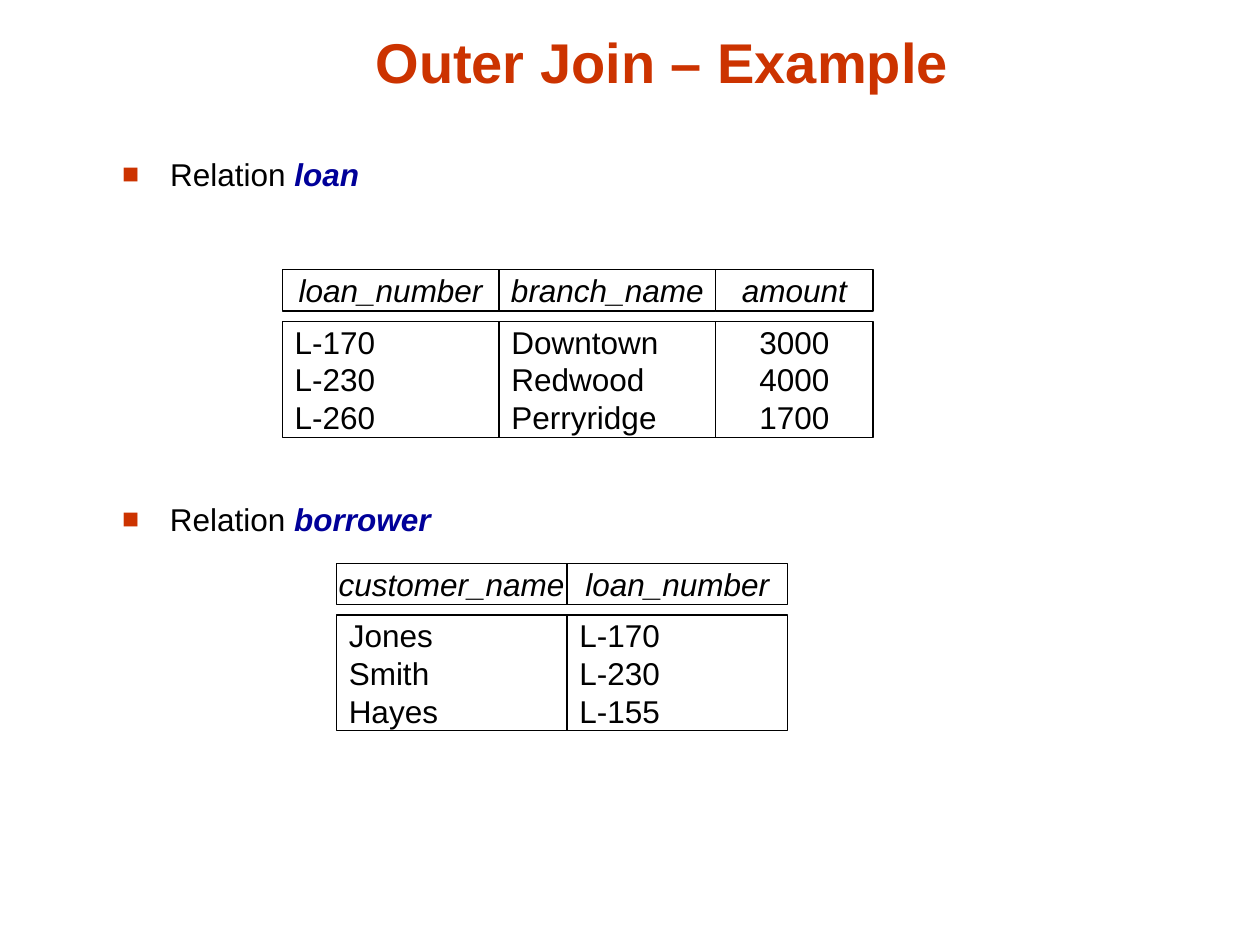
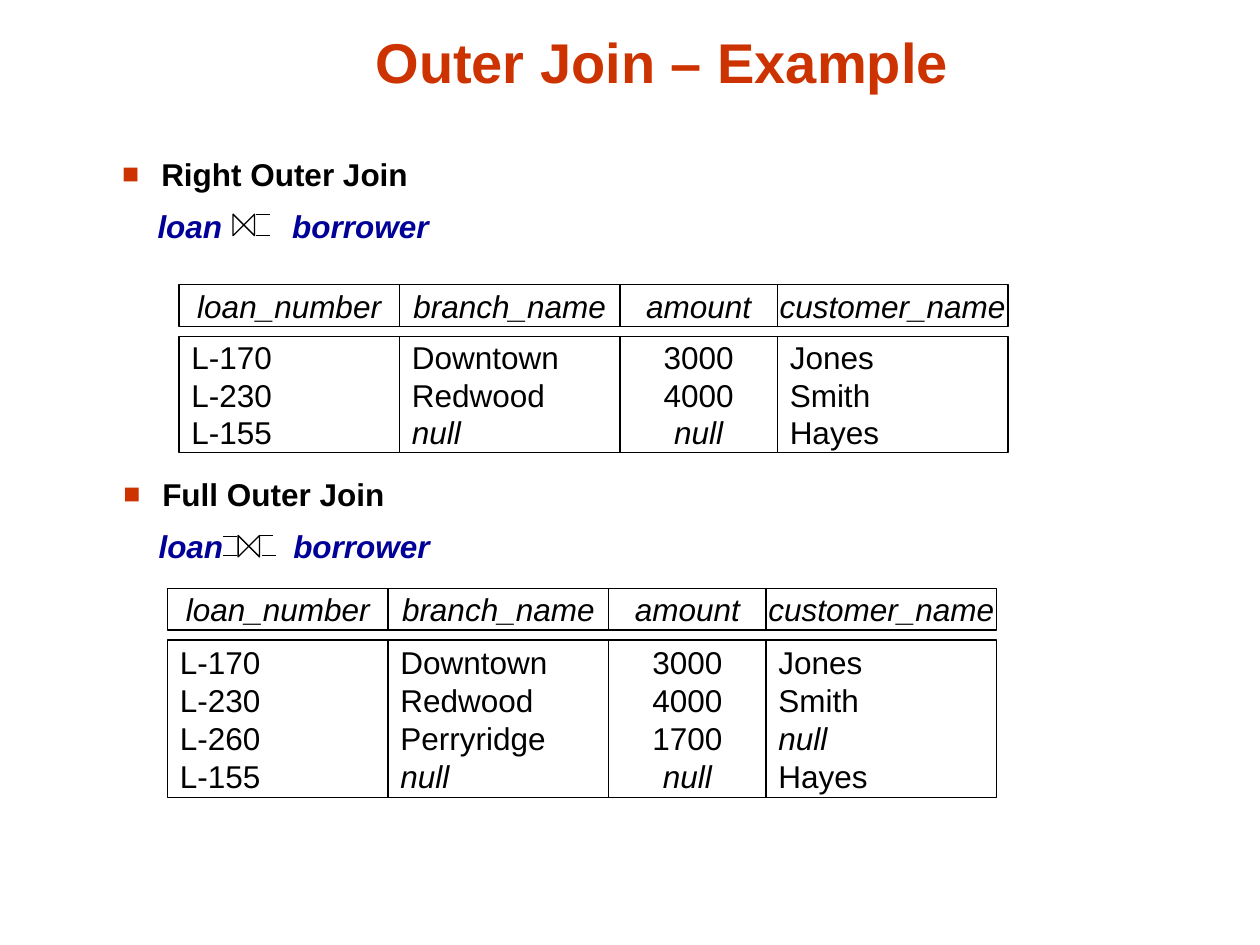
from lxml import etree
from pptx import Presentation
from pptx.dml.color import RGBColor
from pptx.enum import shapes as sh, text as tx
from pptx.oxml import ns
from pptx.util import Inches, Pt

RED = RGBColor(0xCC, 0x33, 0x00)
BLUE = RGBColor(0x00, 0x00, 0x99)
BLACK = RGBColor(0, 0, 0)
WHITE = RGBColor(255, 255, 255)
LEFT, MID = tx.PP_ALIGN.LEFT, tx.PP_ALIGN.CENTER


def write(para, text, size=18, color=BLACK, bold=False, ital=False, align=LEFT, track=0):
    para.alignment = align
    para.space_before = Pt(0)
    run = para.add_run()
    run.text = text
    font = run.font
    font.name, font.size, font.bold, font.italic = "Arial", Pt(size), bold, ital
    font.color.rgb = color
    if track:
        run._r.get_or_add_rPr().set("spc", str(track * 100))


def mark(para, indent, bullet=True):
    props = para._p.get_or_add_pPr()
    props.set("marL", str(Inches(indent)))
    props.set("indent", str(-Inches(indent) if bullet else 0))

    def add(base, tag, **attrs):
        return etree.SubElement(base, ns.qn("a:" + tag), **attrs)

    if bullet:
        add(add(props, "buClr"), "srgbClr", val=str(RED))
        add(props, "buSzPct", val="90000")
        add(props, "buFont", typeface="Arial")
        add(props, "buChar", char="■")
    else:
        add(props, "buNone")


deck = Presentation()
deck.slide_width, deck.slide_height = Inches(10), Inches(7.5)
pages = []
for _ in range(2):
    page = deck.slides.add_slide(deck.slide_layouts[1])
    title = page.shapes.title
    title.left, title.top = Inches(0.84), Inches(0.13)
    title.width, title.height = Inches(8.83), Inches(0.67)
    title.text_frame.vertical_anchor = tx.MSO_ANCHOR.BOTTOM
    write(title.text_frame.paragraphs[0], "Outer Join – Example",
          size=32, color=RED, bold=True, align=MID)
    body = page.placeholders[1]
    body.left, body.top = Inches(0.87), Inches(1.18)
    body.width, body.height = Inches(7.5), Inches(0.81)
    pages.append(page)
first, second = pages

low = first.shapes.add_textbox(Inches(0.87), Inches(3.92), Inches(7.69), Inches(0.53))
for box, name in [(first.placeholders[1], "loan"), (low, "borrower")]:
    box.text_frame.word_wrap = True
    para = box.text_frame.paragraphs[0]
    mark(para, 0.38)
    write(para, "Relation ")
    write(para, name, color=BLUE, bold=True, ital=True)

low = second.shapes.add_textbox(Inches(0.88), Inches(3.72), Inches(4.45), Inches(0.81))
for box, name in [(second.placeholders[1], "Right"), (low, "Full")]:
    frame = box.text_frame
    frame.word_wrap = True
    para = frame.paragraphs[0]
    mark(para, 0.31)
    write(para, name + " Outer Join", bold=True)
    para = frame.add_paragraph()
    mark(para, 0.28, bullet=False)
    for part, track in [("loan", 0), (" ", 35), ("borrower", 0)]:
        write(para, part, color=BLUE, bold=True, ital=True, track=track)
    para.space_before = Pt(7.9)

LOAN, BRANCH, AMOUNT, NAME = "loan_number", "branch_name", "amount", "customer_name"
tables = [
    (first, 2.24, 2.14, [
        (LOAN, 1.72, "L-170 L-230 L-260"),
        (BRANCH, 1.72, "Downtown Redwood Perryridge"),
        (AMOUNT, 1.25, "3000 4000 1700")]),
    (first, 2.67, 4.47, [
        (NAME, 1.83, "Jones Smith Hayes"),
        (LOAN, 1.75, "L-170 L-230 L-155")]),
    (second, 1.42, 2.26, [
        (LOAN, 1.75, "L-170 L-230 L-155"),
        (BRANCH, 1.75, "Downtown Redwood null"),
        (AMOUNT, 1.25, "3000 4000 null"),
        (NAME, 1.83, "Jones Smith Hayes")]),
    (second, 1.33, 4.67, [
        (LOAN, 1.75, "L-170 L-230 L-260 L-155"),
        (BRANCH, 1.75, "Downtown Redwood Perryridge null"),
        (AMOUNT, 1.25, "3000 4000 1700 null"),
        (NAME, 1.83, "Jones Smith null Hayes")]),
]
for page, x, y, cols in tables:
    for head, wide, vals in cols:
        vals = vals.split()
        tall = 0.92 if len(vals) == 3 else 1.25
        for top, high, rows in [(y, 0.33, [head]), (y + 0.41, tall, vals)]:
            cell = page.shapes.add_shape(sh.MSO_SHAPE.RECTANGLE, Inches(x),
                                         Inches(top), Inches(wide), Inches(high))
            cell.shadow.inherit = False
            cell.fill.solid()
            cell.fill.fore_color.rgb = WHITE
            cell.line.color.rgb = BLACK
            cell.line.width = Pt(0.75)
            frame = cell.text_frame
            frame.word_wrap = False
            frame.vertical_anchor = tx.MSO_ANCHOR.MIDDLE
            for i, val in enumerate(rows):
                para = frame.add_paragraph() if i else frame.paragraphs[0]
                write(para, val, ital=val in (head, "null"),
                      align=MID if head in (val, AMOUNT) else LEFT)
        x += wide

joins = [
    (1.85, 1.7, [(2.03, 1.7), (2.03, 1.87)]),
    (1.89, 4.25, [(1.77, 4.26), (1.77, 4.41), (2.08, 4.41), (2.06, 4.25)]),
]
for x, y, bars in joins:
    bow = second.shapes.add_shape(sh.MSO_SHAPE.FLOWCHART_COLLATE, Inches(x),
                                  Inches(y), Inches(0.17), Inches(0.17))
    bow.rotation = 270
    bow.shadow.inherit = False
    bow.fill.background()
    parts = [bow]
    for left, top in bars:
        bar = second.shapes.add_connector(sh.MSO_CONNECTOR.STRAIGHT, Inches(left),
                                          Inches(top), Inches(left + 0.11), Inches(top))
        etree.SubElement(bar._element.spPr, ns.qn("a:effectLst"))
        parts.append(bar)
    for part in parts:
        part.line.color.rgb = BLACK
        part.line.width = Pt(0.75)

deck.save("out.pptx")
